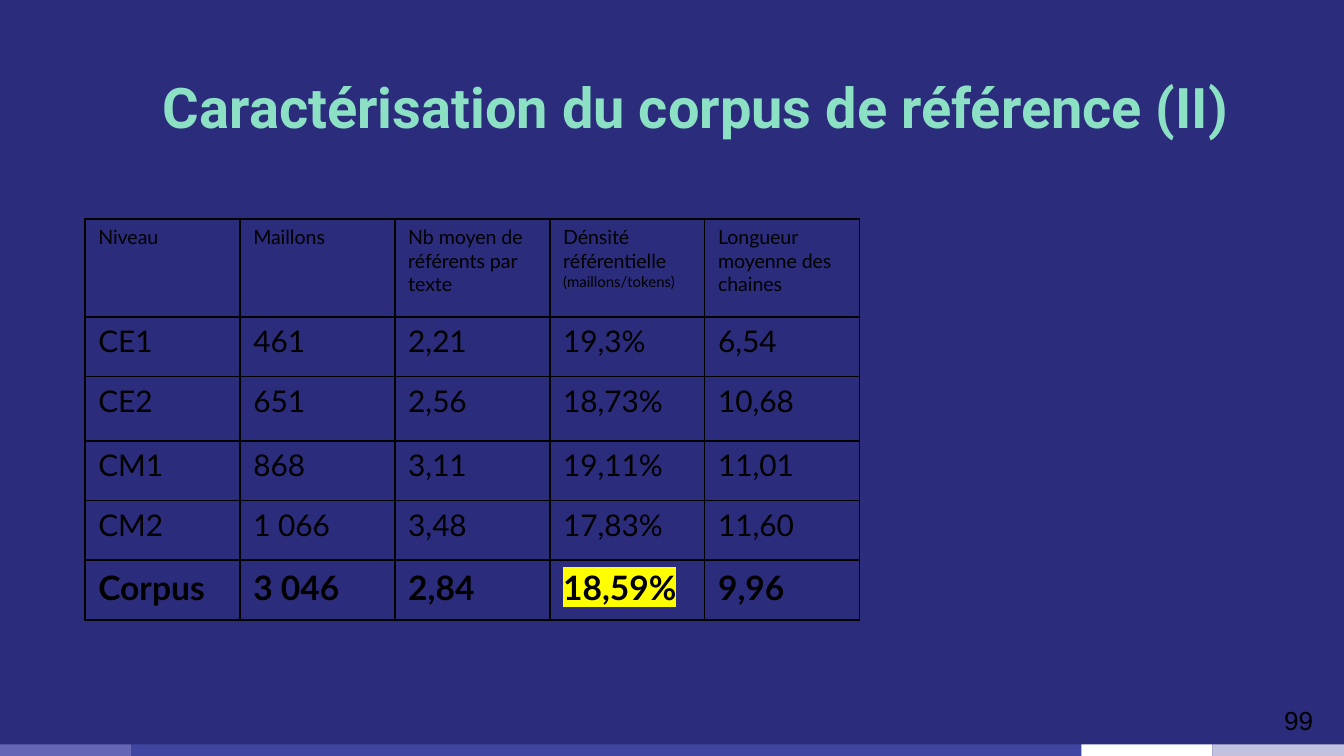
"""Build the slide that describes the reference corpus by school level."""
from typing import NamedTuple

from lxml import etree
from pptx import Presentation
from pptx.dml.color import RGBColor
from pptx.enum.shapes import MSO_SHAPE
from pptx.enum.text import MSO_ANCHOR, MSO_AUTO_SIZE, PP_ALIGN
from pptx.oxml.ns import qn
from pptx.util import Pt

RECT = MSO_SHAPE.RECTANGLE
BOTTOM, TOP = MSO_ANCHOR.BOTTOM, MSO_ANCHOR.TOP
NO_FIT = MSO_AUTO_SIZE.NONE
CENTER, RIGHT, LEFT = PP_ALIGN.CENTER, PP_ALIGN.RIGHT, PP_ALIGN.LEFT
NAVY = RGBColor(0x2C, 0x2C, 0x7C)
MINT = RGBColor(0x8C, 0xE1, 0xC5)
BLACK = RGBColor(0, 0, 0)
YELLOW = RGBColor(0xFF, 0xFF, 0)
WHITE = RGBColor(0xFF, 0xFF, 0xFF)
LILAC = RGBColor(0xC2, 0xC2, 0xDF)
VIOLET = RGBColor(0x66, 0x66, 0xB7)
INDIGO = RGBColor(0x3F, 0x45, 0xA0)


class Band(NamedTuple):
    width: float
    color: RGBColor


class Row(NamedTuple):
    height: float
    size: float
    bold: bool
    cells: tuple


BANDS = (Band(70.2, VIOLET), Band(509.1, INDIGO), Band(70.2, WHITE), Band(70.5, LILAC))
ROWS = (
    Row(52.5, 10.5, False, ("Niveau", "Maillons", "Nb moyen de référents par texte",
                            "Dénsité référentielle\n(maillons/tokens)",
                            "Longueur moyenne des chaines")),
    Row(32, 16, False, ("CE1", "461", "2,21", "19,3%", "6,54")),
    Row(34.5, 16, False, ("CE2", "651", "2,56", "18,73%", "10,68")),
    Row(32, 16, False, ("CM1", "868", "3,11", "19,11%", "11,01")),
    Row(32, 16, False, ("CM2", "1 066", "3,48", "17,83%", "11,60")),
    Row(32, 18, True, ("Corpus", "3 046", "2,84", "18,59%", "9,96")),
)
COL = 83
NOTE = 8
MARK = "18,59%"


def style(run, face: str, size: float, color: RGBColor, bold: bool = False) -> None:
    """Set the font of a run."""
    for name, value in {"name": face, "size": Pt(size), "bold": bold}.items():
        setattr(run.font, name, value)
    run.font.color.rgb = color


def write(shape, text: str, align, anchor, face: str, size: float,
          color: RGBColor, bold: bool = False) -> None:
    """Put one line of text in a shape."""
    frame = shape.text_frame
    form = {"word_wrap": True, "auto_size": NO_FIT, "vertical_anchor": anchor}
    sides = ("left", "right", "top", "bottom")
    form.update({f"margin_{side}": Pt(7.2) for side in sides})
    for name, value in form.items():
        setattr(frame, name, value)
    para = frame.paragraphs[0]
    para.alignment = align
    run = para.add_run()
    run.text = text
    style(run, face, size, color, bold)


def draw_bands(slide, bands: tuple) -> None:
    """Draw the strip of colours along the foot."""
    left = 0
    for band in bands:
        shape = slide.shapes.add_shape(RECT, Pt(left), Pt(398.8), Pt(band.width), Pt(6.2))
        shape.shadow.inherit = False
        shape.fill.solid()
        shape.fill.fore_color.rgb = band.color
        shape.line.fill.background()
        left += band.width


def add_fill(parent, color: RGBColor) -> None:
    """Add a colour element under an XML parent."""
    etree.SubElement(parent, qn("a:srgbClr"), val=str(color))


def frame_cell(cell) -> None:
    """Give a cell black borders and no fill."""
    props = cell._tc.get_or_add_tcPr()
    for side in "LRTB":
        line = etree.SubElement(props, qn(f"a:ln{side}"), w=str(Pt(1)))
        add_fill(etree.SubElement(line, qn("a:solidFill")), BLACK)
    cell.fill.background()


def mark(run) -> None:
    """Highlight a run in yellow."""
    light = etree.Element(qn("a:highlight"))
    add_fill(light, YELLOW)
    run._r.rPr.find(qn("a:solidFill")).addnext(light)


def draw_table(slide, rows: tuple) -> None:
    """Draw the table of figures."""
    count = len(rows[0].cells)
    high = sum(row.height for row in rows)
    table = slide.shapes.add_table(len(rows), count, Pt(45.5), Pt(117.2),
                                   Pt(COL * count), Pt(high)).table
    for name in ("first_row", "horz_banding"):
        setattr(table, name, False)
    for col in table.columns:
        col.width = Pt(COL)
    for line, row in zip(table.rows, rows):
        line.height = Pt(row.height)
        for cell, text in zip(line.cells, row.cells):
            frame_cell(cell)
            cell.text = text
            for rank, para in enumerate(cell.text_frame.paragraphs):
                para.alignment = LEFT
                run = para.runs[0]
                style(run, "Lato", NOTE if rank else row.size, BLACK, row.bold)
                if text == MARK:
                    mark(run)


def main() -> None:
    """Build and save the slide."""
    deck = Presentation()
    deck.slide_width, deck.slide_height = Pt(720), Pt(405)
    slide = deck.slides.add_slide(deck.slide_layouts[5])
    slide.background.fill.solid()
    slide.background.fill.fore_color.rgb = NAVY
    draw_bands(slide, BANDS)
    title = slide.shapes.title
    place = {"left": 51, "top": 14.4, "width": 643.7, "height": 67.7}
    for name, value in place.items():
        setattr(title, name, Pt(value))
    write(title, "Caractérisation du corpus de référence (II)", CENTER, BOTTOM,
          "Roboto", 30, MINT, True)
    page = slide.shapes.add_textbox(Pt(667.5), Pt(370), Pt(43.2), Pt(24.5))
    write(page, "99", RIGHT, TOP, "Arial", 14, BLACK)
    draw_table(slide, ROWS)
    deck.save("out.pptx")


if __name__ == "__main__":
    main()
